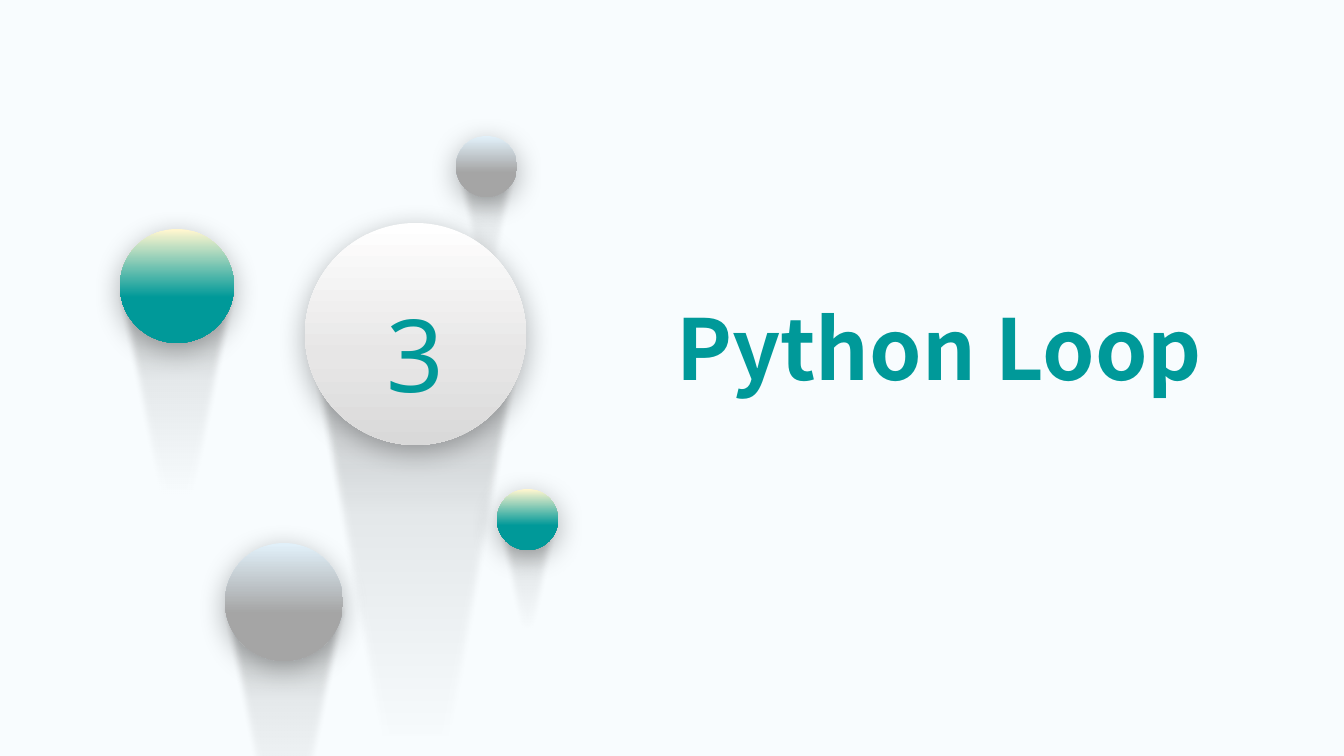
"""Build the section slide with floating balls and their fading tails."""
import dataclasses
import typing

import lxml.etree
import pptx
import pptx.dml.color
import pptx.enum.shapes
import pptx.enum.text
import pptx.oxml.ns
import pptx.util

PIXEL = 9071


class Stop(typing.NamedTuple):
    position: int
    color: str
    alpha: int = 100


@dataclasses.dataclass(frozen=True)
class Theme:
    background: str = "F8FCFE"
    accent: str = "009999"
    shadow: str = "000000"
    title_font: str = "Noto Sans CJK SC"
    number_font: str = "Noto Sans"
    title_size: int = 60
    number_size: int = 72
    gray: tuple[Stop, ...] = (Stop(1, "E1F0F9"), Stop(60, "A5A5A5"), Stop(100, "A5A5A5"))
    teal: tuple[Stop, ...] = (Stop(1, "FFF6CF"), Stop(60, "009999"), Stop(100, "009999"))
    white: tuple[Stop, ...] = (Stop(0, "FFFFFF"), Stop(60, "E7E6E6"), Stop(100, "D9D9D9"))
    tail: tuple[Stop, ...] = (
        Stop(0, "262626", 30), Stop(30, "000000", 8), Stop(50, "000000", 4), Stop(70, "000000", 0))


class Frame(typing.NamedTuple):
    left: int
    top: int
    width: int
    height: int


@dataclasses.dataclass(frozen=True)
class Ball:
    circle: Frame
    tail: Frame
    stops: tuple[Stop, ...]
    number: str = ""


THEME = Theme()
BALLS = (
    Ball(Frame(456, 136, 61, 61), Frame(453, 167, 68, 167), THEME.gray),
    Ball(Frame(305, 223, 221, 222), Frame(304, 335, 224, 599), THEME.white, "3"),
    Ball(Frame(225, 543, 118, 118), Frame(219, 603, 131, 323), THEME.gray),
    Ball(Frame(497, 489, 61, 61), Frame(494, 520, 68, 167), THEME.teal),
    Ball(Frame(120, 229, 114, 114), Frame(114, 287, 127, 311), THEME.teal),
)
TAIL_CURVES = (
    ((0.83, 0.33), (0.54, 1.02), (0.5, 1.0)),
    ((0.46, 1.02), (0.17, 0.33), (0.0, 0.0)),
)


def emu(frame: Frame) -> list[int]:
    """Turn a frame in pixels into lengths in EMU."""
    return [length * PIXEL for length in frame]


def rgb(color: str) -> pptx.dml.color.RGBColor:
    """Return the colour object for a hexadecimal value."""
    return pptx.dml.color.RGBColor.from_string(color)


def add_element(parent: typing.Any, tag: str, **values: typing.Any) -> typing.Any:
    """Append a drawing element with the given attributes."""
    attributes = {name: str(value) for name, value in values.items()}
    return lxml.etree.SubElement(parent, pptx.oxml.ns.qn(tag), attributes)


def add_color(parent: typing.Any, color: str, alpha: int) -> None:
    """Append a colour with its opacity in percent."""
    element = add_element(parent, "a:srgbClr", val=color)
    if alpha < 100:
        add_element(element, "a:alpha", val=alpha * 1000)


def paint(shape: typing.Any, stops: tuple[Stop, ...], effect: str, **values: int | str) -> None:
    """Give a shape a downward gradient, no outline and one effect."""
    shape.fill.gradient()
    shape.fill.gradient_angle = 270
    shape.line.fill.background()
    shape.shadow.inherit = False
    properties = shape._element.spPr
    stop_list = properties.find(".//" + pptx.oxml.ns.qn("a:gsLst"))
    for element in list(stop_list):
        stop_list.remove(element)
    for stop in stops:
        element = add_element(stop_list, "a:gs", pos=stop.position * 1000)
        add_color(element, stop.color, stop.alpha)
    effects = properties.find(pptx.oxml.ns.qn("a:effectLst"))
    element = add_element(effects, effect, **values)
    if effect == "a:outerShdw":
        add_color(element, THEME.shadow, 30)


def add_tail(group: typing.Any, frame: Frame) -> None:
    """Draw a tail whose two sides curve down to a tip."""
    left, top, width, height = emu(frame)
    builder = group.shapes.build_freeform(left + width, top)
    builder.add_line_segments(((left + width // 2, top + height), (left, top)), close=True)
    tail = builder.convert_to_shape()
    sides = tail._element.spPr.findall(".//" + pptx.oxml.ns.qn("a:lnTo"))
    for side, curve in zip(sides, TAIL_CURVES):
        bezier = side.getparent().makeelement(pptx.oxml.ns.qn("a:cubicBezTo"))
        for x, y in curve:
            add_element(bezier, "a:pt", x=round(x * width), y=round(y * height))
        side.getparent().replace(side, bezier)
    paint(tail, THEME.tail, "a:softEdge", rad=pptx.util.Pt(5))


def write(para: typing.Any, text: str, font: str, size: int, bold: bool) -> None:
    """Add one centred run in the accent colour."""
    para.alignment = pptx.enum.text.PP_ALIGN.CENTER
    span = para.add_run()
    span.text = text
    span.font.name = font
    span.font.size = pptx.util.Pt(size)
    span.font.bold = bold
    span.font.color.rgb = rgb(THEME.accent)


def add_ball(page: typing.Any, ball: Ball) -> None:
    """Draw a ball in front of its fading tail as one group."""
    group = page.shapes.add_group_shape()
    add_tail(group, ball.tail)
    circle = group.shapes.add_shape(
        pptx.enum.shapes.MSO_SHAPE.OVAL, *emu(ball.circle))
    paint(circle, ball.stops, "a:outerShdw", blurRad=pptx.util.Pt(20),
          dist=pptx.util.Pt(5), dir=5400000, algn="t", rotWithShape=0)
    if ball.number:
        circle.text_frame.vertical_anchor = pptx.enum.text.MSO_ANCHOR.MIDDLE
        para = circle.text_frame.paragraphs[0]
        para.line_spacing = 1.3
        write(para, ball.number, THEME.number_font, THEME.number_size, False)


def add_title(page: typing.Any, text: str, frame: Frame) -> None:
    """Move the title placeholder into place and fill it."""
    title = page.shapes.title
    title.left, title.top, title.width, title.height = emu(frame)
    box = title.text_frame
    box.word_wrap = False
    box.auto_size = pptx.enum.text.MSO_AUTO_SIZE.SHAPE_TO_FIT_TEXT
    box.vertical_anchor = pptx.enum.text.MSO_ANCHOR.BOTTOM
    para = box.paragraphs[0]
    para.line_spacing = 0.9
    write(para, text, THEME.title_font, THEME.title_size, True)


def main() -> None:
    """Create the deck and save it."""
    deck = pptx.Presentation()
    deck.slide_width, deck.slide_height = 1344 * PIXEL, 756 * PIXEL
    page = deck.slides.add_slide(deck.slide_layouts[5])
    page.background.fill.solid()
    page.background.fill.fore_color.rgb = rgb(THEME.background)
    for ball in BALLS:
        add_ball(page, ball)
    add_title(page, "Python Loop", Frame(656, 292, 566, 112))
    deck.save("out.pptx")


main()
